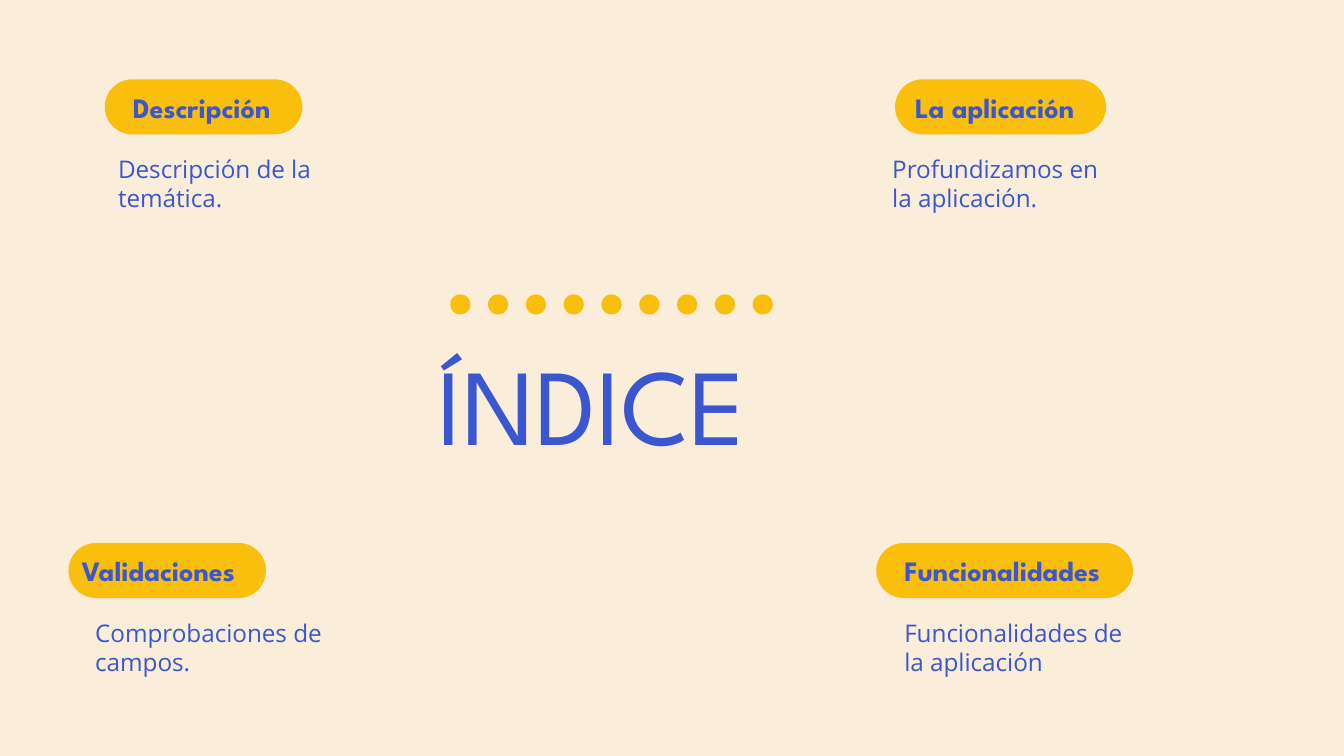
from pptx import Presentation
from pptx.dml.color import RGBColor
from pptx.enum.shapes import MSO_SHAPE
from pptx.enum.text import MSO_ANCHOR
from pptx.util import Inches, Pt

CREAM = RGBColor(0xFA, 0xED, 0xD9)
YELLOW = RGBColor(0xFA, 0xBE, 0x0C)
BLUE = RGBColor(0x3B, 0x57, 0xCF)

WIDTH = 10
HEIGHT = WIDTH * 9 / 16
TOP_ROW, BOTTOM_ROW = 0.59, 4.04
PILL_HEIGHT = 0.41
BODY_OFFSET, BODY_WIDTH, BODY_HEIGHT = 0.46, 1.91, 0.52
DOT_TOP, DOT_SIZE, DOT_COUNT = 2.19, 0.15, 9
FIRST_DOT, LAST_DOT = 3.35, 5.6

TITLE_FORMAT = {"name": "League Spartan", "size": Pt(58), "bold": False}
HEADING_FORMAT = {"name": "League Spartan", "size": Pt(15), "bold": True}
BODY_FORMAT = {"name": "Open Sans", "size": Pt(13), "bold": False}

SECTIONS = [
    ("Descripción", "Descripción de la temática.", TOP_ROW, 0.78, 1.47, 0.89, 1.91, 0.78),
    ("La aplicación", "Profundizamos en la aplicación.", TOP_ROW, 6.66, 1.57, 6.71, 1.91, 6.54),
    ("Funcionalidades", "Funcionalidades de la aplicación", BOTTOM_ROW, 6.52, 1.91, 6.63, 1.91, 6.63),
    ("Validaciones", "Comprobaciones de campos.", BOTTOM_ROW, 0.51, 1.47, 0.51, 1.57, 0.61),
]


def add_yellow(slide, kind, *box):
    ornament = slide.shapes.add_shape(kind, *map(Inches, box))
    ornament.shadow.inherit = False
    ornament.fill.solid()
    ornament.fill.fore_color.rgb = YELLOW
    ornament.line.fill.background()
    return ornament


def add_label(slide, wording, box, font_format, anchor=MSO_ANCHOR.TOP):
    frame = slide.shapes.add_textbox(*map(Inches, box)).text_frame
    frame.word_wrap = True
    frame.vertical_anchor = anchor
    for side in ("left", "top", "right", "bottom"):
        setattr(frame, f"margin_{side}", Inches(0.1))
    run = frame.paragraphs[0].add_run()
    run.text = wording
    for attribute, value in font_format.items():
        setattr(run.font, attribute, value)
    run.font.color.rgb = BLUE


def add_section(slide, heading, body, top, pill_left, pill_width, heading_left, heading_width, body_left):
    pill = add_yellow(slide, MSO_SHAPE.ROUNDED_RECTANGLE, pill_left, top, pill_width, PILL_HEIGHT)
    pill.adjustments[0] = 0.5
    heading_box = (heading_left, top, heading_width, PILL_HEIGHT)
    add_label(slide, heading, heading_box, HEADING_FORMAT, MSO_ANCHOR.MIDDLE)
    body_box = (body_left, top + BODY_OFFSET, BODY_WIDTH, BODY_HEIGHT)
    add_label(slide, body, body_box, BODY_FORMAT)


def add_dots(slide):
    pitch = (LAST_DOT - FIRST_DOT) / (DOT_COUNT - 1)
    for column in range(DOT_COUNT):
        left = FIRST_DOT + column * pitch
        add_yellow(slide, MSO_SHAPE.OVAL, left, DOT_TOP, DOT_SIZE, DOT_SIZE)


def main():
    presentation = Presentation()
    presentation.slide_width = Inches(WIDTH)
    presentation.slide_height = Inches(HEIGHT)
    slide = presentation.slides.add_slide(presentation.slide_layouts[6])
    slide.background.fill.solid()
    slide.background.fill.fore_color.rgb = CREAM
    for section in SECTIONS:
        add_section(slide, *section)
    add_dots(slide)
    add_label(slide, "ÍNDICE", (3.16, 2.41, 3.04, 1.06), TITLE_FORMAT)
    presentation.save("out.pptx")


if __name__ == "__main__":
    main()
